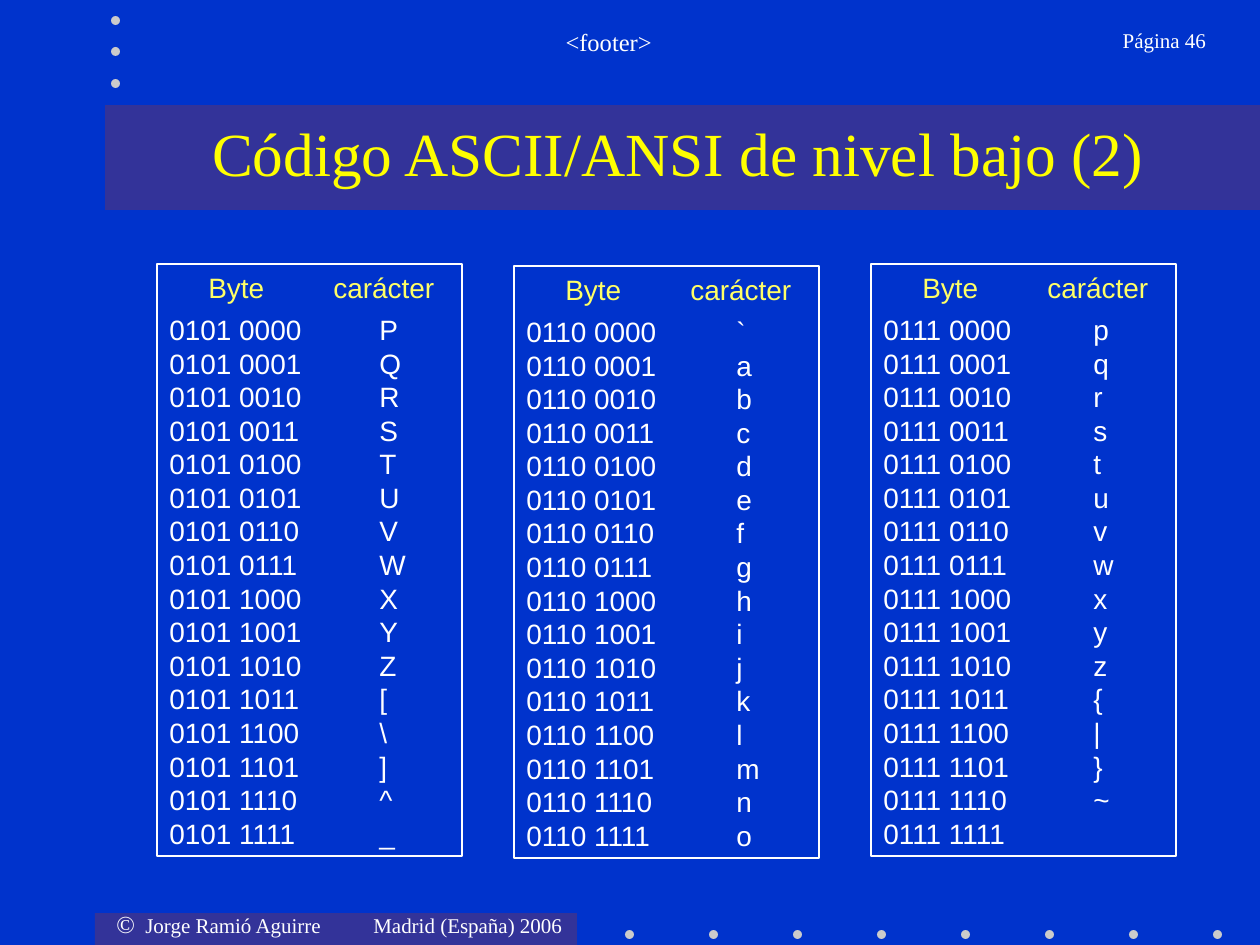
from lxml.etree import SubElement
from pptx import Presentation
from pptx.dml.color import RGBColor
from pptx.enum.shapes import MSO_SHAPE
from pptx.enum.text import MSO_ANCHOR, PP_ALIGN
from pptx.oxml.ns import qn
from pptx.util import Pt

EMU_PER_PX = 914400 / 126
BLUE, BAND, DOT = "0033CC", "333399", "CBCBCB"
WHITE, YELLOW, PALE_YELLOW = "FFFFFF", "FFFF00", "FFFF66"
SERIF, SANS = "Times New Roman", "Arial"


def px(length):
    return round(length * EMU_PER_PX)


def color(value):
    return RGBColor.from_string(value)


class SlideBuilder:
    """Holds the deck, its current page and the shared text style."""

    def __init__(self, width, height):
        self.deck = Presentation()
        self.deck.slide_width, self.deck.slide_height = px(width), px(height)
        self.page = self.deck.slides.add_slide(self.deck.slide_layouts[5])
        fill = self.page.background.fill
        fill.solid()
        fill.fore_color.rgb = color(BLUE)

    def shape(self, kind, area, fill=None, line=None):
        shape = self.page.shapes.add_shape(kind, *map(px, area))
        shape.shadow.inherit = False
        if fill:
            shape.fill.solid()
            shape.fill.fore_color.rgb = color(fill)
        else:
            shape.fill.background()
        if line:
            shape.line.color.rgb = color(line)
            shape.line.width = Pt(0.75)
        else:
            shape.line.fill.background()
        return shape

    def span(self, para, text, size, font=SERIF, ink=WHITE):
        span = para.add_run()
        span.text = text
        for name, value in {"size": Pt(size), "name": font}.items():
            setattr(span.font, name, value)
        span.font.color.rgb = color(ink)

    def tabs(self, para, stops):
        tab_list = SubElement(para._p.get_or_add_pPr(), qn("a:tabLst"))
        for stop in stops:
            SubElement(tab_list, qn("a:tab"), pos=str(px(stop)), algn="l")

    def text(self, area, spans, align=PP_ALIGN.LEFT, stops=()):
        """Add a text box from (text, size) spans."""
        frame = self.page.shapes.add_textbox(*map(px, area)).text_frame
        frame.word_wrap = True
        frame.margin_right = px(12)
        para = frame.paragraphs[0]
        para.alignment = align
        if stops:
            self.tabs(para, stops)
        for text, size in spans:
            self.span(para, text, size)

    def title(self, area, text):
        title = self.page.shapes.title
        names = ("left", "top", "width", "height")
        for name, value in zip(names, area):
            setattr(title, name, px(value))
        title.text_frame.vertical_anchor = MSO_ANCHOR.MIDDLE
        para = title.text_frame.paragraphs[0]
        para.alignment = PP_ALIGN.CENTER
        self.span(para, text, 35, ink=YELLOW)
        # The title must lie above the band behind it.
        title.element.getparent().append(title.element)

    def code_list(self, area, first_code):
        """Add a framed list of sixteen bytes and their characters."""
        frame = self.shape(MSO_SHAPE.RECTANGLE, area, line=WHITE).text_frame
        frame.word_wrap = True
        frame.vertical_anchor = MSO_ANCHOR.TOP
        header = frame.paragraphs[0]
        header.alignment = PP_ALIGN.LEFT
        self.tabs(header, [39, 164])
        self.span(header, "\tByte\tcarácter", 16, SANS, PALE_YELLOW)
        for code in range(first_code, first_code + 16):
            para = frame.add_paragraph()
            para.alignment = PP_ALIGN.LEFT
            if code == first_code:
                para.space_before = Pt(5)
            self.tabs(para, [210])
            byte = f"{code >> 4:04b} {code & 15:04b}"
            character = chr(code)
            row = f"{byte}\t{character}" if character.isprintable() else byte
            self.span(para, row, 16, SANS)


def main():
    slide = SlideBuilder(1260, 945)
    slide.shape(MSO_SHAPE.RECTANGLE, (95, 913, 482, 32), BAND)
    slide.shape(MSO_SHAPE.RECTANGLE, (105, 105, 1155, 105), BAND)
    bottom_dots = [(625 + 84 * i, 930) for i in range(8)]
    top_dots = [(111, 16 + 63 * i // 2) for i in range(3)]
    for left, top in bottom_dots + top_dots:
        slide.shape(MSO_SHAPE.OVAL, (left, top, 9, 9), DOT)

    credit = [("\t©", 14), ("\tJorge Ramió Aguirre\tMadrid (España) 2006", 12)]
    slide.text((91, 903, 490, 42), credit, stops=[13, 42, 270])
    slide.text((199, 21, 819, 63), [("<footer>", 14)], PP_ALIGN.CENTER)
    slide.text((1046, 21, 172, 63), [("Página 46", 12)], PP_ALIGN.RIGHT)
    slide.title((116, 105, 1124, 94), "Código ASCII/ANSI de nivel bajo (2)")

    for column, top in enumerate((264, 266, 264)):
        area = (157 + 357 * column, top, 305, 592)
        slide.code_list(area, 0x50 + 16 * column)
    slide.deck.save("out.pptx")


if __name__ == "__main__":
    main()
